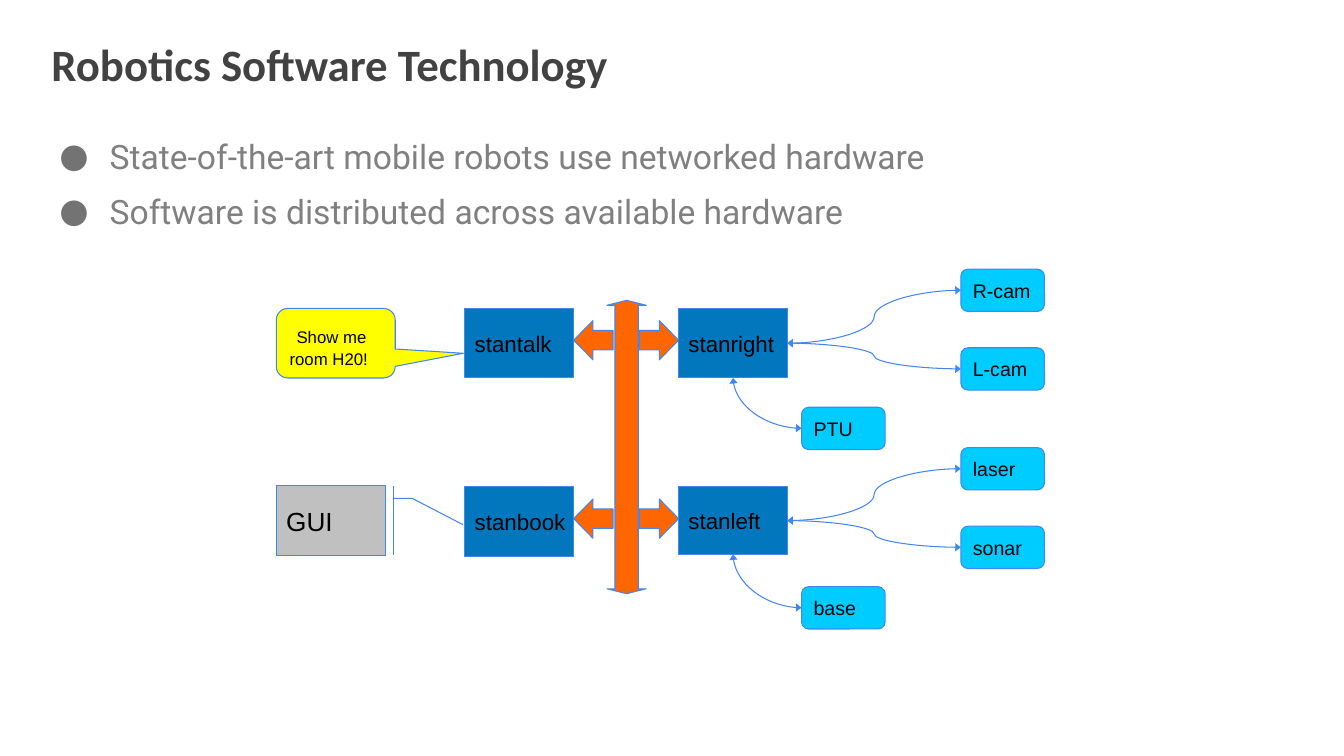
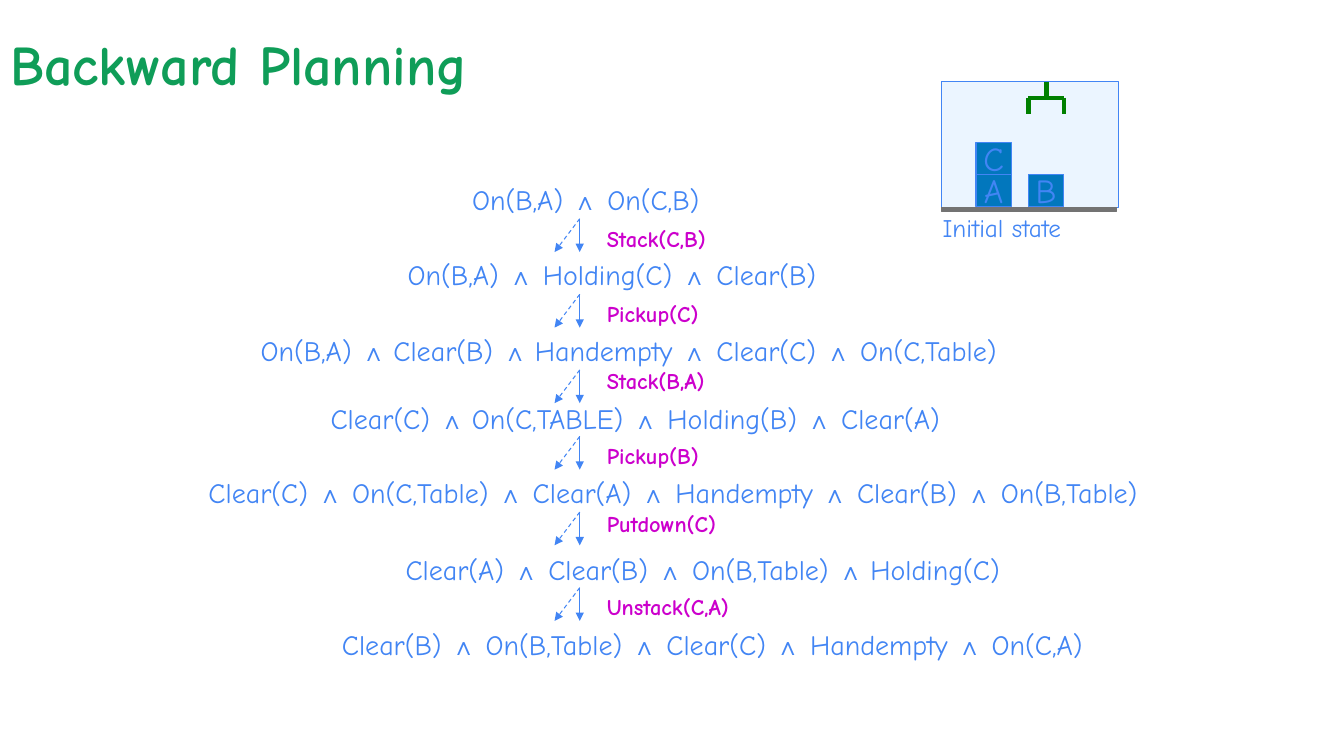
from lxml.etree import SubElement
from pptx import Presentation
from pptx.dml.color import RGBColor
from pptx.enum.dml import MSO_LINE
from pptx.enum.shapes import MSO_CONNECTOR, MSO_SHAPE
from pptx.enum.text import MSO_ANCHOR, MSO_AUTO_SIZE, PP_ALIGN
from pptx.oxml.ns import qn
from pptx.util import Emu, Pt

EMU_PER_PX = 9144
COLORS = {
    "white": "FFFFFF", "black": "000000", "title": "424242", "green": "0F9D58",
    "body": "808080", "dark_gray": "737373", "silver": "C0C0C0",
    "outline": "4285F4", "computer": "0277BD", "device": "00CCFF",
    "bus": "FF6600", "speech": "FFFF00", "action": "CC00CC",
    "state": "EBF5FF", "gripper": "008000",
}
SANS = "Arial"
HAND = "Comic Neue"
BODY = "Roboto"
LEFT_SITE, BOTTOM_SITE, RIGHT_SITE = 1, 2, 3


def px(value):
    return Emu(value * EMU_PER_PX)


def rgb(name):
    return RGBColor.from_string(COLORS[name])


def apply_format(target, **values):
    for name, value in values.items():
        setattr(target, name, value)


def add_run(paragraph, text, size, font=SANS, color="black", bold=False):
    run = paragraph.add_run()
    run.text = text
    apply_format(run.font, name=font, size=Pt(size), bold=bold)
    run.font.color.rgb = rgb(color)


def add_title_slide(presentation, text, left, **style):
    slide = presentation.slides.add_slide(presentation.slide_layouts[5])
    slide.background.fill.solid()
    slide.background.fill.fore_color.rgb = rgb("white")
    title = slide.shapes.title
    apply_format(title, left=px(left), top=px(7), width=px(1333 - left), height=px(112))
    inset = px(10)
    apply_format(title.text_frame, word_wrap=True, auto_size=MSO_AUTO_SIZE.NONE,
                 vertical_anchor=MSO_ANCHOR.MIDDLE, margin_left=inset,
                 margin_right=inset, margin_top=inset, margin_bottom=inset)
    paragraph = title.text_frame.paragraphs[0]
    paragraph.alignment = PP_ALIGN.LEFT
    add_run(paragraph, text, bold=True, **style)
    return slide


def add_bullets(slide, box, lines):
    frame = slide.shapes.add_textbox(*map(px, box)).text_frame
    apply_format(frame, word_wrap=True, margin_top=px(10), margin_bottom=px(10))
    for index, line in enumerate(lines):
        paragraph = frame.add_paragraph() if index else frame.paragraphs[0]
        apply_format(paragraph, line_spacing=1.15, space_before=Pt(6))
        properties = paragraph._p.get_or_add_pPr()
        properties.set("marL", str(px(67)))
        properties.set("indent", str(px(-50)))
        bullet_color = SubElement(properties, qn("a:buClr"))
        SubElement(bullet_color, qn("a:srgbClr"), val=COLORS["dark_gray"])
        SubElement(properties, qn("a:buFont"), typeface=BODY)
        SubElement(properties, qn("a:buChar"), char="●")
        add_run(paragraph, line, 24, BODY, "body")


def add_label(slide, left, top, width, height, alignment=PP_ALIGN.LEFT):
    frame = slide.shapes.add_textbox(*map(px, (left, top, width, height))).text_frame
    apply_format(frame, word_wrap=False, auto_size=MSO_AUTO_SIZE.SHAPE_TO_FIT_TEXT)
    frame.paragraphs[0].alignment = alignment
    return frame.paragraphs[0]


def add_figure(slide, kind, box, fill, adjustments=(), rotation=0, line="outline"):
    shape = slide.shapes.add_shape(kind, *map(px, box))
    shape.shadow.inherit = False
    shape.rotation = rotation
    shape.fill.solid()
    shape.fill.fore_color.rgb = rgb(fill)
    shape.line.color.rgb = rgb(line)
    shape.line.width = Pt(0.75)
    for index, value in enumerate(adjustments):
        shape.adjustments[index] = value
    return shape


def start_text(shape, alignment=PP_ALIGN.LEFT, wrap=False):
    frame = shape.text_frame
    apply_format(frame, word_wrap=wrap, vertical_anchor=MSO_ANCHOR.MIDDLE)
    frame.paragraphs[0].alignment = alignment
    return frame.paragraphs[0]


def style_connector(connector, color="outline", width=0.75, dashed=False, heads=(),
                    head_length="med"):
    connector.line.color.rgb = rgb(color)
    connector.line.width = Pt(width)
    if dashed:
        connector.line.dash_style = MSO_LINE.DASH
    for head in heads:
        SubElement(connector.line._get_or_add_ln(), qn(f"a:{head}"),
                   type="triangle", len=head_length)
    SubElement(connector._element.spPr, qn("a:effectLst"))


def add_line(slide, points, **style):
    connector = slide.shapes.add_connector(MSO_CONNECTOR.STRAIGHT, *map(px, points))
    style_connector(connector, **style)


def add_link(slide, device, computer, site):
    connector = slide.shapes.add_connector(MSO_CONNECTOR.CURVE, 0, 0, 0, 0)
    connector.begin_connect(device, LEFT_SITE)
    connector.end_connect(computer, site)
    if site == BOTTOM_SITE:
        geometry = connector._element.spPr.find(qn("a:prstGeom"))
        geometry.set("prst", "curvedConnector2")
    style_connector(connector, heads=("headEnd", "tailEnd"), head_length="sm")


def add_computer(slide, name, left, top, height=69):
    shape = add_figure(slide, MSO_SHAPE.RECTANGLE, (left, top, 108, height), "computer")
    add_run(start_text(shape), name, 16)
    return shape


def add_device(slide, name, left, top, computer, site):
    shape = add_figure(slide, MSO_SHAPE.ROUNDED_RECTANGLE, (left, top, 83, 42),
                       "device", (0.167,))
    add_run(start_text(shape), name, 14)
    add_link(slide, shape, computer, site)


def add_network(slide):
    add_computer(slide, "stantalk", 461, 306)
    add_computer(slide, "stanbook", 461, 483)
    right = add_computer(slide, "stanright", 673, 306)
    left = add_computer(slide, "stanleft", 673, 483, 67)
    add_figure(slide, MSO_SHAPE.LEFT_RIGHT_ARROW, (476, 424, 291, 39), "bus",
               (0.592, 0.125), 90)
    for top in (318, 495):
        for arrow_left, rotation in ((569, 90), (634, 270)):
            add_figure(slide, MSO_SHAPE.DOWN_ARROW, (arrow_left, top, 39, 39), "bus",
                       (0.497, 0.49), rotation)
    for name, device_left, top, computer, site in (
        ("R-cam", 953, 267, right, RIGHT_SITE),
        ("L-cam", 953, 345, right, RIGHT_SITE),
        ("PTU", 795, 404, right, BOTTOM_SITE),
        ("laser", 953, 444, left, RIGHT_SITE),
        ("sonar", 953, 522, left, RIGHT_SITE),
        ("base", 795, 582, left, BOTTOM_SITE),
    ):
        add_device(slide, name, device_left, top, computer, site)

    speech = add_figure(slide, MSO_SHAPE.ROUNDED_RECTANGULAR_CALLOUT, (274, 306, 118, 69),
                        "speech", (1.072, 0.145, 0.167))
    paragraph = start_text(speech, wrap=True)
    add_run(paragraph, " ", 18)
    add_run(paragraph, "Show me room H20!", 12)
    screen = add_figure(slide, MSO_SHAPE.LINE_CALLOUT_2_BORDER_AND_ACCENT_BAR,
                        (274, 482, 108, 69), "silver",
                        (0.181, 1.077, 0.181, 1.25, 0.557, 1.714))
    add_run(start_text(screen, wrap=True), "GUI", 18.7)


def add_formula(slide, left, top, width, formula):
    paragraph = add_label(slide, left, top, width, 43, PP_ALIGN.CENTER)
    for index, part in enumerate(formula.split("|")):
        if index % 2:
            add_run(paragraph, part, 18, SANS, "outline", True)
        else:
            add_run(paragraph, part, 20, HAND, "outline")


def add_step(slide, top, action, action_top):
    add_line(slide, (575, top, 575, top + 33), heads=("tailEnd",))
    add_line(slide, (575, top, 550, top + 33), dashed=True, heads=("tailEnd",))
    paragraph = add_label(slide, 592, action_top, 161, 37)
    add_run(paragraph, action, 16, HAND, "action", True)


def add_plan(slide):
    for left, top, width, formula in (
        (454, 176, 254, "On(B,A) |∧| On(C,B)"),
        (394, 251, 426, "On(B,A) |∧| Holding(C) |∧| Clear(B)"),
        (245, 326, 757,
         "On(B,A) |∧ |Clear(B) |∧ |Handempty |∧| Clear(C) |∧| On(C,Table)"),
        (314, 393, 632, "Clear(C) |∧ |On(C,TABLE) |∧| Holding(B) |∧| Clear(A)"),
        (192, 467, 951,
         "Clear(C) |∧| On(C,Table) |∧| Clear(A) |∧| Handempty |∧| Clear(B) |∧| On(B,Table)"),
        (389, 543, 616, "Clear(A) |∧| Clear(B) |∧| On(B,Table) |∧ |Holding(C)"),
        (327, 618, 759,
         "Clear(B) |∧| On(B,Table) |∧| Clear(C) |∧| Handempty |∧| On(C,A)"),
    ):
        add_formula(slide, left, top, width, formula)
    for top, action, action_top in (
        (217, "Stack(C,B)", 218), (292, "Pickup(C)", 293), (367, "Stack(B,A)", 359),
        (433, "Pickup(B)", 434), (508, "Putdown(C)", 501), (583, "Unstack(C,A)", 584),
    ):
        add_step(slide, top, action, action_top)


def add_initial_state(slide):
    add_figure(slide, MSO_SHAPE.RECTANGLE, (934, 81, 175, 125), "state")
    add_figure(slide, MSO_SHAPE.RECTANGLE, (934, 206, 173, 4), "dark_gray", line="dark_gray")
    for name, left, top in (("A", 968, 173), ("B", 1020, 173), ("C", 968, 141)):
        block = add_figure(slide, MSO_SHAPE.RECTANGLE, (left, top, 35, 32), "computer")
        add_run(start_text(block, PP_ALIGN.CENTER), name, 24, HAND, "outline")
    for points in ((1020, 97, 1055, 97), (1020, 97, 1020, 113),
                   (1038, 81, 1038, 97), (1055, 97, 1055, 113)):
        add_line(slide, points, color="gripper", width=3)
    add_run(add_label(slide, 925, 206, 162, 40), "Initial state", 18, HAND, "outline")


def main():
    presentation = Presentation()
    apply_format(presentation, slide_width=px(1333), slide_height=px(750))

    robotics = add_title_slide(presentation, "Robotics Software Technology", 41,
                               size=32, font="Calibri", color="title")
    add_bullets(robotics, (32, 119, 1270, 556), (
        "State-of-the-art mobile robots use networked hardware",
        "Software is distributed across available hardware",
    ))
    add_network(robotics)

    planning = add_title_slide(presentation, "Backward Planning", 0,
                               size=40, font=HAND, color="green")
    add_plan(planning)
    add_initial_state(planning)

    presentation.save("out.pptx")


if __name__ == "__main__":
    main()
